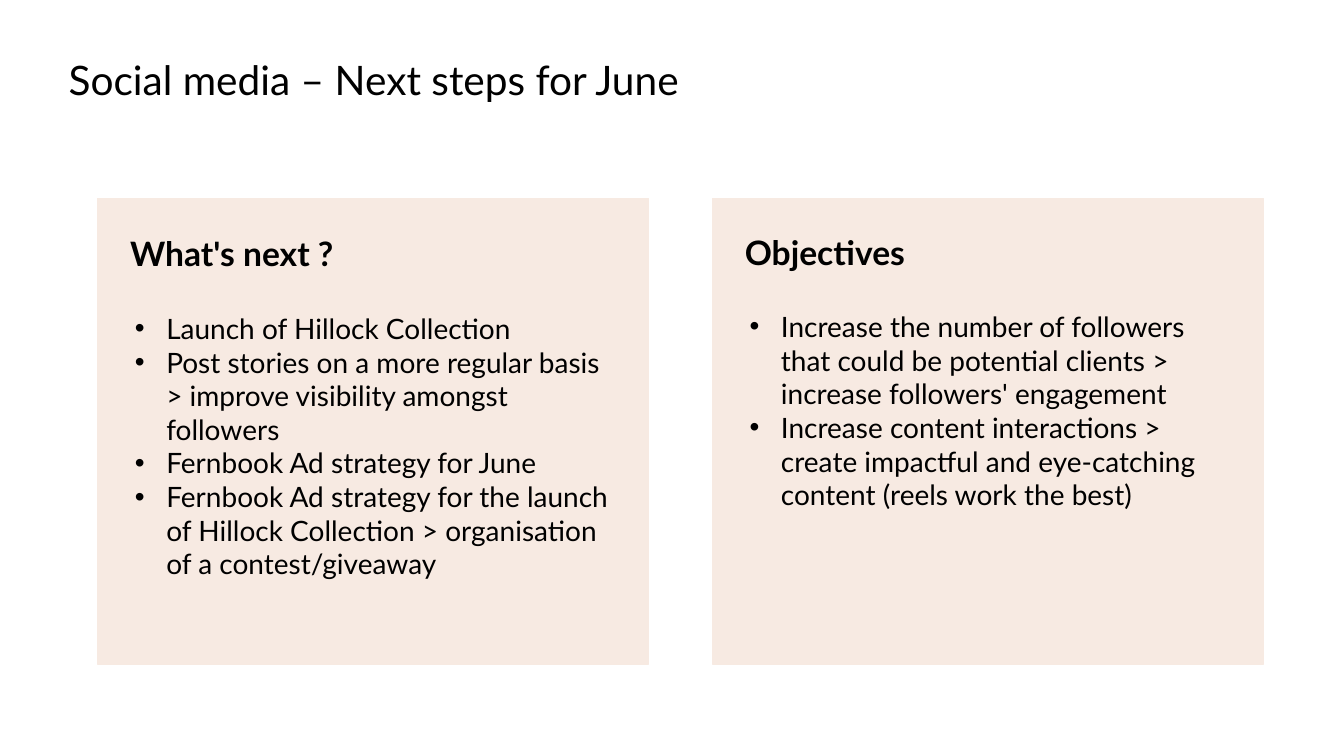
from lxml import etree
from pptx import Presentation
from pptx.dml.color import RGBColor
from pptx.enum.shapes import MSO_SHAPE
from pptx.enum.text import MSO_ANCHOR, MSO_AUTO_SIZE, PP_ALIGN
from pptx.oxml.ns import qn
from pptx.util import Cm, Pt

RECT = MSO_SHAPE.RECTANGLE
TOP, MIDDLE = MSO_ANCHOR.TOP, MSO_ANCHOR.MIDDLE
LEFT = PP_ALIGN.LEFT
FIXED = MSO_AUTO_SIZE.NONE

COLORS = {"text": "000000", "panel": "F7EAE2"}
COMPARE = 4  # layout with a title, two headings and two lists

# Heading, list items, list width, heading top, list top
PANELS = [
    ("What's next ?",
     ["Launch of Hillock Collection",
      "Post stories on a more regular basis > improve visibility amongst followers",
      "Fernbook Ad strategy for June",
      "Fernbook Ad strategy for the launch of Hillock Collection > "
      "organisation of a contest/giveaway"],
     12.29, 5.64, 7.72),
    ("Objectives",
     ["Increase the number of followers that could be potential clients > "
      "increase followers' engagement",
      "Increase content interactions > create impactful and eye-catching "
      "content (reels work the best)"],
     11.76, 5.61, 7.67),
]


class Deck:
    font = "Lato"
    inset = Cm(0.13)
    indent = Cm(0.79)

    def __init__(self):
        self.prs = Presentation()
        self.prs.slide_width = Cm(33.87)
        self.prs.slide_height = Cm(19.05)
        self.slide = self.prs.slides.add_slide(self.prs.slide_layouts[COMPARE])
        self.slots = {p.placeholder_format.idx: p for p in self.slide.placeholders}

    def color(self, name):
        return RGBColor.from_string(COLORS[name])

    def text(self, idx, box, lines, size, bold=False, anchor=MIDDLE,
             spacing=0.9, bullet=False):
        slot = self.slots[idx]
        slot.left, slot.top, slot.width, slot.height = map(Cm, box)
        frame = slot.text_frame
        frame.text = "\n".join(lines)
        frame.word_wrap = True
        frame.auto_size = FIXED
        frame.vertical_anchor = anchor
        frame.margin_left = frame.margin_right = self.inset
        frame.margin_top = frame.margin_bottom = self.inset
        for para in frame.paragraphs:
            if bullet:
                self.bullet(para)
            para.alignment = LEFT
            para.line_spacing = spacing
            para.space_before = para.space_after = Pt(0)
            font = para.font
            font.name, font.size, font.bold = self.font, Pt(size), bold
            font.color.rgb = self.color("text")

    def bullet(self, para):
        props = para._p.get_or_add_pPr()
        props.set("marL", str(self.indent))
        props.set("indent", str(-self.indent))
        etree.SubElement(props, qn("a:buFont")).set("typeface", "Arial")
        etree.SubElement(props, qn("a:buChar")).set("char", "•")

    def panel(self, box):
        rect = self.slide.shapes.add_shape(RECT, *map(Cm, box))
        rect.shadow.inherit = False
        rect.fill.solid()
        rect.fill.fore_color.rgb = self.color("panel")
        rect.line.color.rgb = self.color("panel")
        rect.line.width = Pt(1)
        # Send behind the placeholders
        self.slide.shapes._spTree.insert(2, rect._element)


def main():
    deck = Deck()

    # Title
    deck.text(0, (1.6, 1.27, 21.77, 1.6), ["Social media – Next steps for June"], 29)

    # Two panels, each with a heading and a list
    for col, (head, items, width, head_top, list_top) in enumerate(PANELS):
        left = 2.46 + col * 15.49
        slot = 1 + 2 * col
        deck.panel((left, 5, 13.89, 11.73))
        deck.text(slot, (left + 0.69, head_top, 11.05, 1.6), [head], 24, bold=True)
        deck.text(slot + 1, (left + 0.81, list_top, width, 6.25), items, 20,
                  anchor=TOP, spacing=1.0, bullet=True)

    deck.prs.save("out.pptx")


if __name__ == "__main__":
    main()
